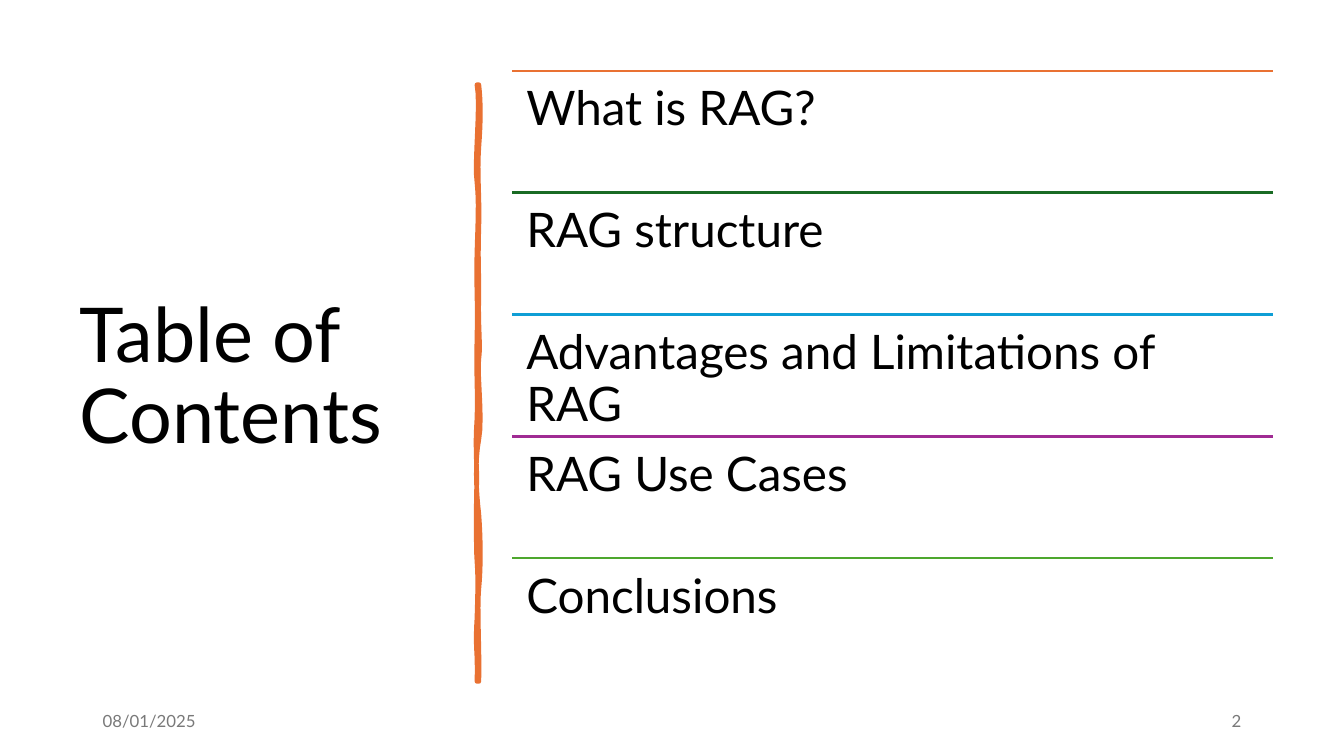
from lxml import etree
from pptx import Presentation
from pptx.dml.color import RGBColor
from pptx.enum.shapes import MSO_CONNECTOR
from pptx.enum.text import MSO_ANCHOR, PP_ALIGN
from pptx.oxml.ns import qn
from pptx.util import Inches, Pt

STRAIGHT = MSO_CONNECTOR.STRAIGHT
TOP, MIDDLE = MSO_ANCHOR.TOP, MSO_ANCHOR.MIDDLE
LEFT, RIGHT = PP_ALIGN.LEFT, PP_ALIGN.RIGHT

BLACK = RGBColor(0x00, 0x00, 0x00)
GRAY = RGBColor(0x79, 0x79, 0x79)
ORANGE = RGBColor(0xE9, 0x71, 0x32)
GREEN = RGBColor(0x19, 0x6B, 0x24)
BLUE = RGBColor(0x0F, 0x9E, 0xD5)
PURPLE = RGBColor(0xA0, 0x2B, 0x93)
LIME = RGBColor(0x4E, 0xA7, 0x2E)

FONT = "Lato"
SLIDE_WIDTH, SLIDE_HEIGHT = 13.33, 7.5

# Contents list: one column of equal rows
LIST_LEFT, LIST_TOP, LIST_WIDTH, ROW_HEIGHT = 5.08, 0.7, 7.55, 1.21
CONTENTS = [
    ("What is RAG?", ORANGE),
    ("RAG structure", GREEN),
    ("Advantages and Limitations of RAG", BLUE),
    ("RAG Use Cases", PURPLE),
    ("Conclusions", LIME),
]

FOOTER_MARGIN, FOOTER_TOP, FOOTER_WIDTH, FOOTER_HEIGHT = 0.92, 6.95, 3, 0.4

# Brush stroke: each curve is two control points and an end point
STROKE_RIGHT, STROKE_LEFT = 4.75, 4.73
STROKE_TOP, STROKE_BOTTOM = 0.84, 6.76
CURVE_STEPS = 8
RIGHT_EDGE = [
    ((4.77, 1.02), (4.77, 1.19), (STROKE_RIGHT, 1.46)),
    ((4.73, 1.73), (4.76, 1.95), (STROKE_RIGHT, 2.26)),
    ((4.74, 2.57), (4.75, 2.62), (STROKE_RIGHT, 2.94)),
    ((4.74, 3.25), (4.77, 3.42), (STROKE_RIGHT, 3.56)),
    ((4.73, 3.7), (4.79, 4.14), (STROKE_RIGHT, 4.36)),
    ((4.71, 4.57), (4.72, 4.84), (STROKE_RIGHT, 5.1)),
    ((4.77, 5.36), (4.77, 5.64), (STROKE_RIGHT, 5.84)),
    ((4.73, 6.03), (4.76, 6.5), (STROKE_RIGHT, STROKE_BOTTOM)),
]
LEFT_EDGE = [
    ((4.74, 6.46), (4.71, 6.44), (STROKE_LEFT, 6.13)),
    ((4.74, 5.83), (4.74, 5.7), (STROKE_LEFT, 5.57)),
    ((4.72, 5.44), (4.72, 4.95), (STROKE_LEFT, 4.77)),
    ((4.73, 4.59), (4.71, 4.45), (STROKE_LEFT, 4.15)),
    ((4.74, 3.86), (4.72, 3.73), (STROKE_LEFT, 3.35)),
    ((4.74, 2.98), (4.72, 2.81), (STROKE_LEFT, 2.5)),
    ((4.74, 2.18), (4.75, 2), (STROKE_LEFT, 1.81)),
    ((4.7, 1.63), (4.77, 1.04), (STROKE_LEFT, STROKE_TOP)),
]


def add_text(slide, text, box, size, color=BLACK, anchor=MIDDLE,
             align=LEFT, line_spacing=None, inset=None):
    shape = slide.shapes.add_textbox(*map(Inches, box))
    frame = shape.text_frame
    frame.word_wrap = True
    frame.vertical_anchor = anchor
    if inset is not None:
        frame.margin_left = frame.margin_right = Inches(inset)
        frame.margin_top = frame.margin_bottom = Inches(inset)
    paragraph = frame.paragraphs[0]
    paragraph.text = text
    paragraph.alignment = align
    paragraph.line_spacing = line_spacing
    paragraph.font.name = FONT
    paragraph.font.size = Pt(size)
    paragraph.font.color.rgb = color


def add_rule(slide, left, top, width, color):
    line = slide.shapes.add_connector(
        STRAIGHT, Inches(left), Inches(top), Inches(left + width), Inches(top))
    line.line.color.rgb = color
    line.line.width = Pt(1.5)
    etree.SubElement(line._element.spPr, qn("a:effectLst"))


def curve_points(start, curves):
    """Sample a chain of cubic Bezier curves as points in EMU."""
    points = []
    for first, second, end in curves:
        for step in range(1, CURVE_STEPS + 1):
            t = step / CURVE_STEPS
            u = 1 - t
            points.append(tuple(
                Inches(u**3 * a + 3 * u * u * t * b + 3 * u * t * t * c + t**3 * d)
                for a, b, c, d in zip(start, first, second, end)))
        start = end
    return points


def add_brush_stroke(slide):
    right_start = (STROKE_RIGHT, STROKE_TOP)
    left_start = (STROKE_LEFT, STROKE_BOTTOM)
    builder = slide.shapes.build_freeform(*map(Inches, right_start))
    builder.add_line_segments(
        curve_points(right_start, RIGHT_EDGE)
        + [tuple(map(Inches, left_start))]
        + curve_points(left_start, LEFT_EDGE), close=True)
    shape = builder.convert_to_shape()
    shape.shadow.inherit = False
    shape.fill.solid()
    shape.fill.fore_color.rgb = ORANGE
    shape.line.color.rgb = ORANGE
    shape.line.width = Pt(3.25)
    etree.SubElement(shape.line._ln, qn("a:round"))


def add_contents(slide):
    for row, (text, color) in enumerate(CONTENTS):
        top = LIST_TOP + row * ROW_HEIGHT
        add_rule(slide, LIST_LEFT, top, LIST_WIDTH, color)
        add_text(slide, text, (LIST_LEFT, top, LIST_WIDTH, ROW_HEIGHT), 34,
                 anchor=TOP, line_spacing=0.9, inset=0.14)


def add_footer(slide):
    number_left = SLIDE_WIDTH - FOOTER_MARGIN - FOOTER_WIDTH
    for text, left, align in (("08/01/2025", FOOTER_MARGIN, LEFT),
                              ("2", number_left, RIGHT)):
        add_text(slide, text, (left, FOOTER_TOP, FOOTER_WIDTH, FOOTER_HEIGHT),
                 12, color=GRAY, align=align)


def main():
    presentation = Presentation()
    presentation.slide_width = Inches(SLIDE_WIDTH)
    presentation.slide_height = Inches(SLIDE_HEIGHT)
    slide = presentation.slides.add_slide(presentation.slide_layouts[6])
    add_text(slide, "Table of Contents", (0.69, 0.7, 3.74, 6.11), 54,
             line_spacing=0.9)
    add_brush_stroke(slide)
    add_contents(slide)
    add_footer(slide)
    presentation.save("out.pptx")


if __name__ == "__main__":
    main()
